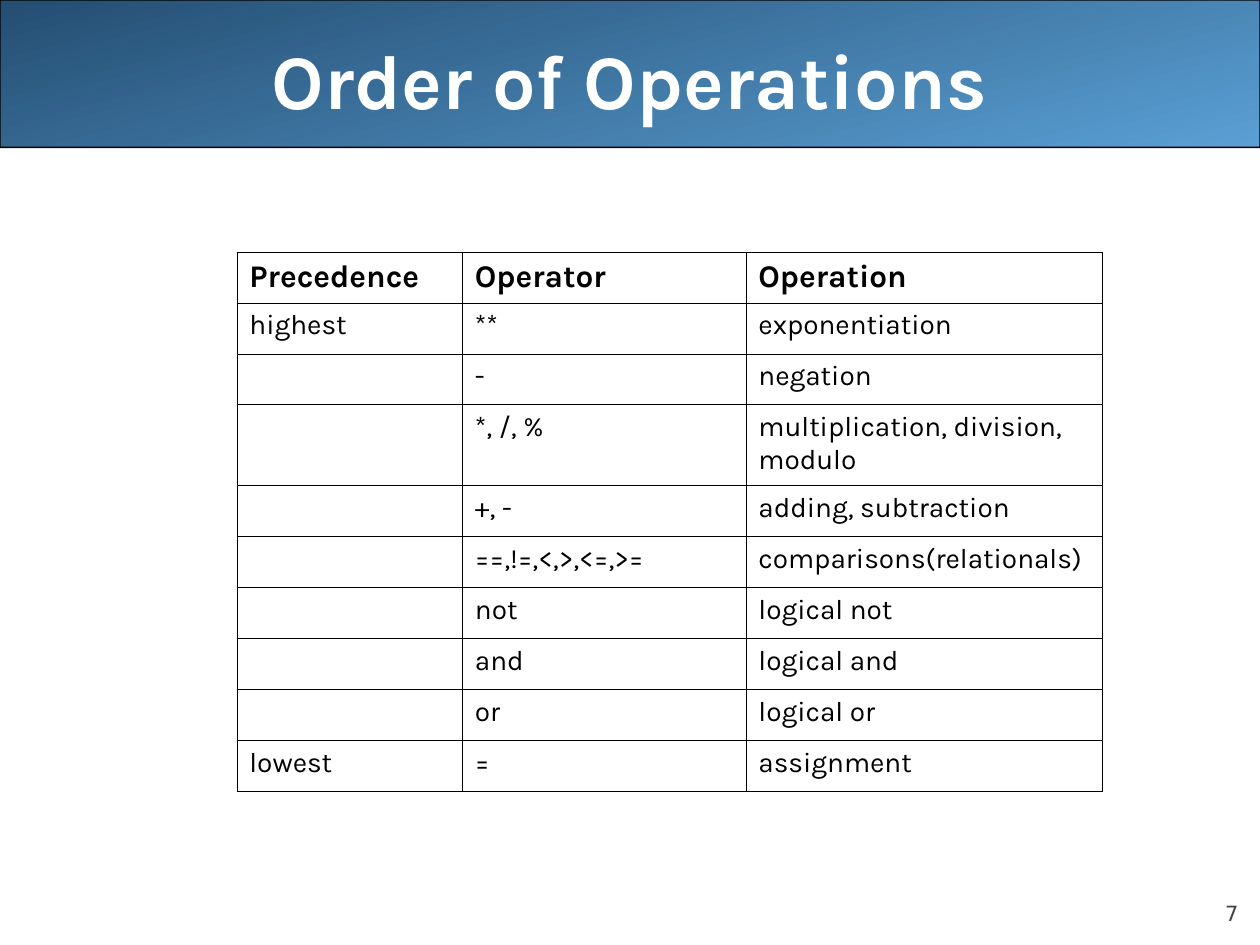
from lxml.etree import SubElement
from pptx import Presentation
from pptx.dml.color import RGBColor
from pptx.enum.shapes import MSO_SHAPE
from pptx.enum.text import MSO_ANCHOR, PP_ALIGN
from pptx.oxml import parse_xml
from pptx.oxml.ns import nsdecls, qn
from pptx.util import Inches, Pt

TITLE = "Order of Operations"
NUMBER = "7"
ROWS = [
    ("Precedence", "Operator", "Operation"),
    ("highest", "**", "exponentiation"),
    ("", "-", "negation"),
    ("", "*, /, %", "multiplication, division, modulo"),
    ("", "+, -", "adding, subtraction"),
    ("", "==,!=,<,>,<=,>=", "comparisons(relationals)"),
    ("", "not", "logical not"),
    ("", "and", "logical and"),
    ("", "or", "logical or"),
    ("lowest", "=", "assignment"),
]
COLS = (1.79, 2.25, 2.83)
TALL, TALL_ROW = 0.64, 3
LEFT, TOP, HEIGHT = 1.88, 2, 4.28
COLORS = {"dark": "244E72", "light": "5A9FD4", "line": "000000",
          "text": "000000", "title": "FFFFFF", "number": "424242"}
FONT = "Karla"


def color(name):
    """Look up a named colour."""
    return RGBColor.from_string(COLORS[name])


def style(para, size, tint, face=FONT, bold=False):
    """Format every run of a paragraph."""
    for run in para.runs:
        font = run.font
        font.name, font.size, font.bold = face, Pt(size), bold
        font.color.rgb = color(tint)


def place(shape, *box):
    """Set left, top, width and height in inches."""
    shape.left, shape.top, shape.width, shape.height = map(Inches, box)


def add_band(slide):
    """Draw the gradient band behind the title."""
    band = slide.shapes.add_shape(MSO_SHAPE.ROUNDED_RECTANGLE, 0, 0,
                                  Inches(10), Inches(1.17))
    band.adjustments[0] = 0.001
    band.shadow.inherit = False
    band.fill.gradient()
    band.fill.gradient_angle = 360 - 75
    for stop, name, pos in zip(band.fill.gradient_stops,
                               ("dark", "light"), (0, 1)):
        stop.color.rgb, stop.position = color(name), pos
    band.line.color.rgb = color("line")
    band.line.width = Pt(0.74)


def add_number(slide):
    """Write the page number at the lower right."""
    box = slide.shapes.add_textbox(0, 0, 0, 0)
    place(box, 9, 6.95, 0.83, 0.4)
    frame = box.text_frame
    frame.word_wrap = True
    frame.vertical_anchor = MSO_ANCHOR.BOTTOM
    frame.margin_left = frame.margin_right = 0
    frame.margin_top = frame.margin_bottom = 0
    frame.text = NUMBER
    para = frame.paragraphs[0]
    para.alignment, para.space_before = PP_ALIGN.RIGHT, Pt(5)
    style(para, 12, "number", "DejaVu Sans")


def set_title(slide):
    """Fill the title and bring it in front of the band."""
    title = slide.shapes.title
    place(title, 0.5, 0, 9, 1.25)
    title.text_frame.text = TITLE
    title.text_frame.vertical_anchor = MSO_ANCHOR.MIDDLE
    para = title.text_frame.paragraphs[0]
    para.alignment = PP_ALIGN.CENTER
    style(para, 44, "title", bold=True)
    slide.shapes._spTree.append(title._element)


def add_borders(cell):
    """Give a clear cell a thin line on all four sides."""
    cell.fill.background()
    props = cell._tc.get_or_add_tcPr()
    for spot, side in enumerate("LRTB"):
        line = parse_xml(f'<a:ln{side} {nsdecls("a")} w="{Pt(0.45)}"/>')
        fill = SubElement(line, qn("a:solidFill"))
        SubElement(fill, qn("a:srgbClr"), val=COLORS["line"])
        props.insert(spot, line)


def add_grid(slide):
    """Build the table of operators."""
    frame = slide.shapes.add_table(
        len(ROWS), len(COLS), Inches(LEFT), Inches(TOP),
        Inches(sum(COLS)), Inches(HEIGHT))
    table = frame.table
    table.horz_banding = table.first_row = False
    for col, width in zip(table.columns, COLS):
        col.width = Inches(width)
    low = (HEIGHT - TALL) / (len(ROWS) - 1)
    for r, words in enumerate(ROWS):
        table.rows[r].height = Inches(TALL if r == TALL_ROW else low)
        size = 16 if r else 18
        for c, word in enumerate(words):
            cell = table.cell(r, c)
            cell.text = word
            para = cell.text_frame.paragraphs[0]
            style(para, size, "text", bold=r == 0)
            if not word:
                para._p.get_or_add_endParaRPr().set("sz", str(size * 100))
            add_borders(cell)


deck = Presentation()
deck.slide_width, deck.slide_height = Inches(10), Inches(7.5)
page = deck.slides.add_slide(deck.slide_layouts[5])
add_band(page)
add_number(page)
set_title(page)
add_grid(page)
deck.save("out.pptx")
